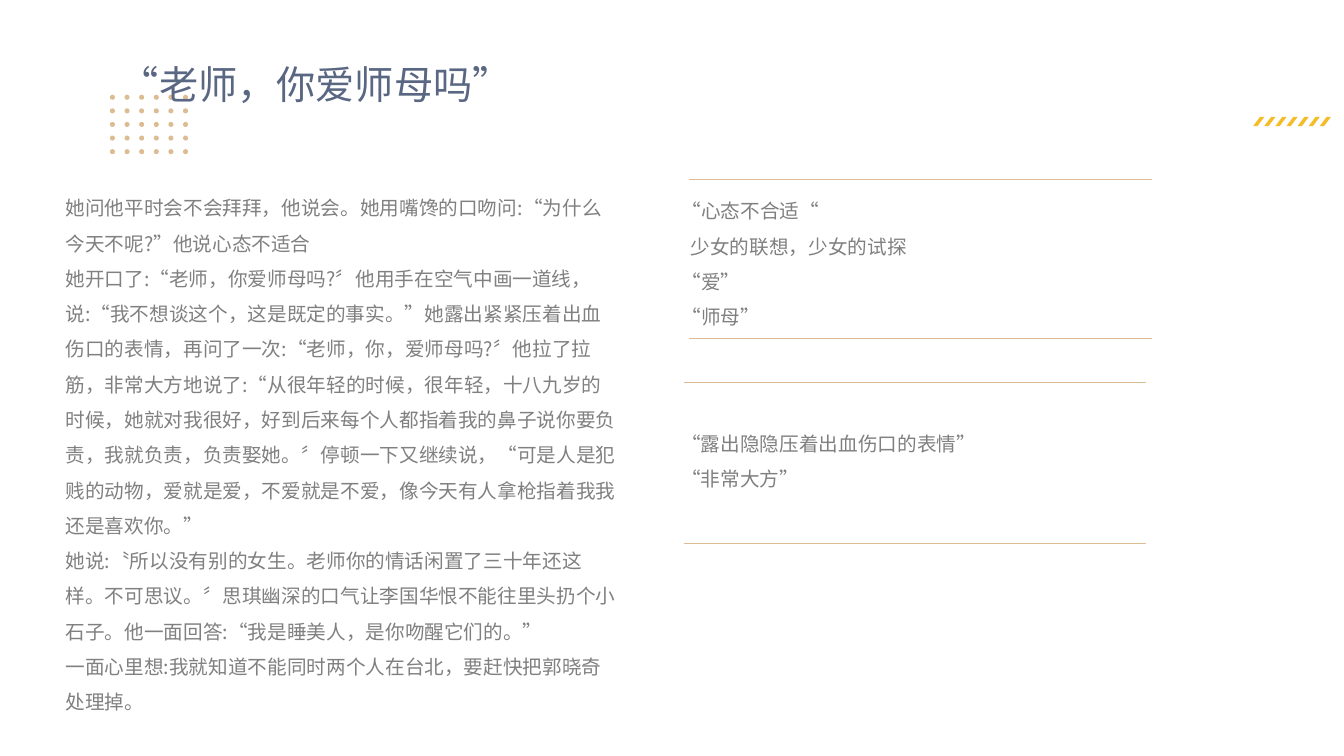
from lxml import etree
from pptx import Presentation
from pptx.dml.color import RGBColor
from pptx.enum import shapes, text
from pptx.oxml.ns import qn
from pptx.util import Inches, Pt

STORY = [
    "她问他平时会不会拜拜，他说会。她用嘴馋的口吻问:“为什么今天不呢?”他说心态不适合",
    "她开口了:“老师，你爱师母吗?〞他用手在空气中画一道线，说:“我不想谈这个，这是既定的事实。”"
    "她露出紧紧压着出血伤口的表情，再问了一次:“老师，你，爱师母吗?〞他拉了拉筋，非常大方地说了:"
    "“从很年轻的时候，很年轻，十八九岁的时候，她就对我很好，好到后来每个人都指着我的鼻子说你要负责，"
    "我就负责，负责娶她。〞停顿一下又继续说，“可是人是犯贱的动物，爱就是爱，不爱就是不爱，"
    "像今天有人拿枪指着我我还是喜欢你。”",
    "她说:〝所以没有别的女生。老师你的情话闲置了三十年还这样。不可思议。〞"
    "思琪幽深的口气让李国华恨不能往里头扔个小石子。他一面回答:“我是睡美人，是你吻醒它们的。”",
    "一面心里想:我就知道不能同时两个人在台北，要赶快把郭晓奇处理掉。",
]
ASSOCIATION = ["“心态不合适“", "少女的联想，少女的试探", "“爱”", "“师母”"]
EXPRESSION = ["“露出隐隐压着出血伤口的表情”", "“非常大方”"]


def rgb(value):
    return RGBColor.from_string(value)


class Deck:
    FONT = "Noto Sans CJK SC"
    NAVY, GREY, TAN, GOLD = "5A6783", "808080", "DEBC93", "F4BC27"
    LINE_SPACING = 1.5

    def __init__(self, prs, layout):
        self.s = prs.slides.add_slide(prs.slide_layouts[layout])

    def fill_text(self, sp, box, lines, size=14, color=GREY, align=text.PP_ALIGN.LEFT,
                  wrap=True, indents=None):
        """Place sp in front at box and write one paragraph per line; indents maps line to inches."""
        self.s.shapes._spTree.append(sp._element)
        sp.left, sp.top, sp.width, sp.height = map(Inches, box)
        tf = sp.text_frame
        tf.word_wrap = wrap
        tf.auto_size = text.MSO_AUTO_SIZE.NONE
        tf.vertical_anchor = text.MSO_ANCHOR.TOP
        for i, line in enumerate(lines):
            p = tf.paragraphs[0] if i == 0 else tf.add_paragraph()
            p.alignment = align
            p.line_spacing = self.LINE_SPACING
            p.space_before = p.space_after = Pt(0)
            pPr = p._p.get_or_add_pPr()
            pPr.set("marL", str(Inches((indents or {}).get(i, 0))))
            pPr.set("indent", "0")
            pPr.set("hangingPunct", "0")
            etree.SubElement(pPr, qn("a:buNone"))
            r = p.add_run()
            r.text = line
            r.font.size = Pt(size)
            r.font.color.rgb = rgb(color)
            r.font.name = self.FONT
            rPr = r._r.get_or_add_rPr()
            rPr.set("lang", "zh-CN")
            etree.SubElement(rPr, qn("a:ea"), typeface=self.FONT)

    def placeholder(self, idx, box, lines, **fmt):
        self.fill_text(self.s.placeholders[idx], box, lines, **fmt)

    def textbox(self, box, lines, **fmt):
        self.fill_text(self.s.shapes.add_textbox(*map(Inches, box)), box, lines, **fmt)

    def rule(self, x, y, width, color=TAN):
        c = self.s.shapes.add_connector(
            shapes.MSO_CONNECTOR.STRAIGHT, *map(Inches, (x, y, x + width, y)))
        c.line.color.rgb = rgb(color)
        c.line.width = Pt(0.5)
        etree.SubElement(c._element.spPr, qn("a:effectLst"))

    def pattern(self, kind, origin, size, step, cols, rows, color, adj=None):
        """Draw a grouped grid of one small shape."""
        group = self.s.shapes.add_group_shape()
        for row in range(rows):
            for col in range(cols):
                x, y = origin[0] + col * step[0], origin[1] + row * step[1]
                sp = group.shapes.add_shape(kind, *map(Inches, (x, y, *size)))
                sp.shadow.inherit = False
                sp.fill.solid()
                sp.fill.fore_color.rgb = rgb(color)
                sp.line.fill.background()
                if adj is not None:
                    sp.adjustments[0] = adj


def main():
    prs = Presentation()
    prs.slide_width, prs.slide_height = Inches(13.33), Inches(7.5)
    d = Deck(prs, 3)
    justify = text.PP_ALIGN.JUSTIFY

    for y in (3.79, 5.39):
        d.rule(6.78, y, 4.59)
    d.placeholder(1, (0.55, 1.78, 5.67, 5.37), STORY)
    d.placeholder(2, (6.66, 1.81, 4.93, 1.47), ASSOCIATION, align=justify, indents={1: 0.09})
    d.textbox((6.66, 4.12, 4.93, 0.77), EXPRESSION, align=justify)
    d.pattern(shapes.MSO_SHAPE.PARALLELOGRAM, (12.43, 1.16), (0.11, 0.09), (0.11, 0),
              7, 1, d.GOLD, adj=0.75)
    d.pattern(shapes.MSO_SHAPE.OVAL, (1.09, 0.94), (0.05, 0.05), (0.145, 0.135), 6, 5, d.TAN)
    d.placeholder(0, (1.09, 0.31, 4.13, 1.28), ["“老师，你爱师母吗”"],
                  size=28, color=d.NAVY, wrap=False)
    for y in (1.78, 3.36):
        d.rule(6.83, y, 4.6)

    prs.save("out.pptx")


if __name__ == "__main__":
    main()
